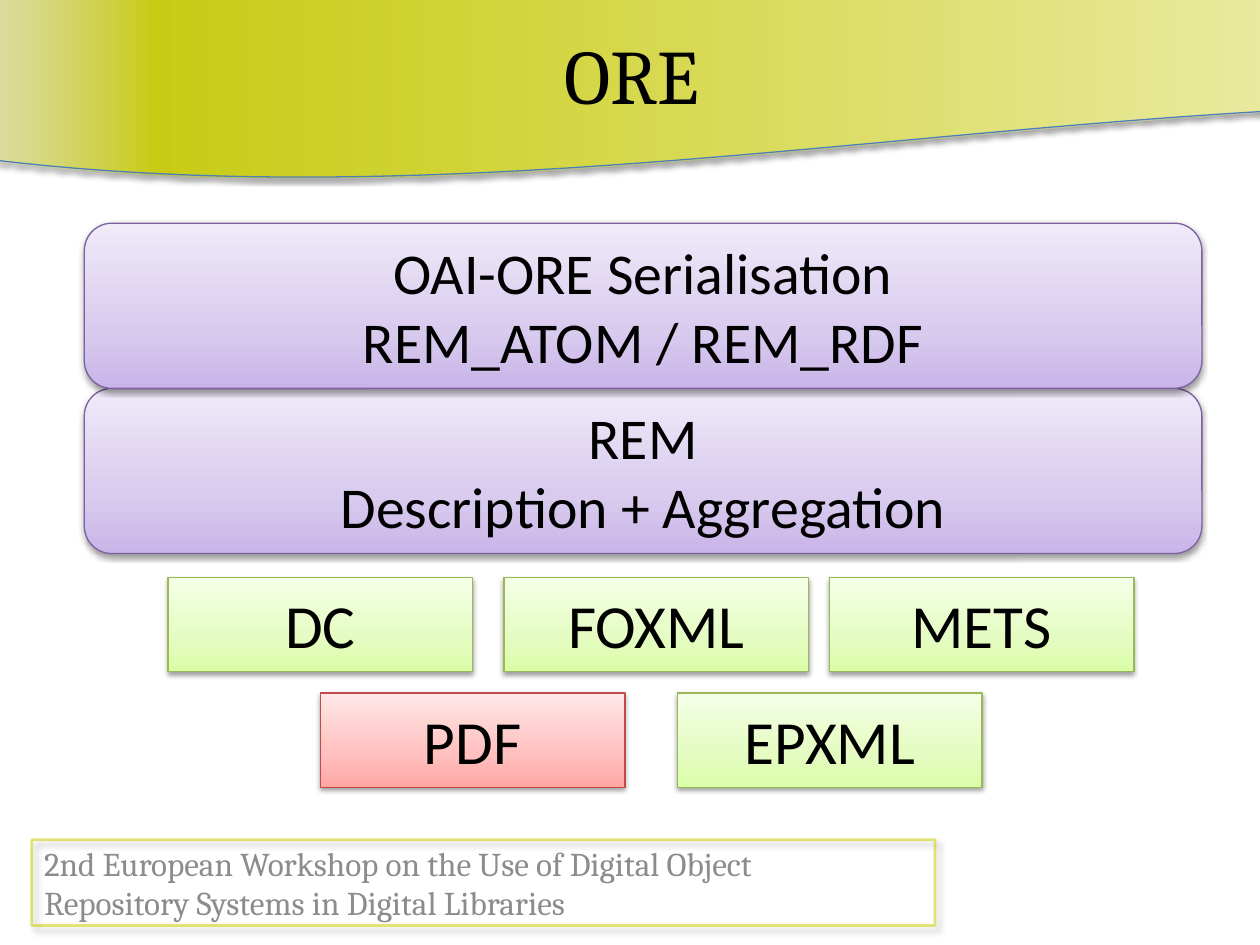
from dataclasses import dataclass

from lxml.etree import SubElement
from pptx import Presentation
from pptx.dml.color import RGBColor
from pptx.enum.shapes import MSO_SHAPE
from pptx.enum.text import MSO_ANCHOR, PP_ALIGN
from pptx.oxml.ns import qn
from pptx.util import Cm, Pt


@dataclass(frozen=True)
class Theme:
    """Colours as (gradient stops, outline) pairs, fonts and type sizes."""
    wave: tuple = (((0, "FFFFFF", 100), (86, "CDCF01", 88), (100, "FFFFFF", 40)), "4B7EBC")
    lilac: tuple = (((0, "C9B5E8", 100), (35, "D8CBEE", 100), (100, "F0EAF9", 100)), "7D60A0")
    green: tuple = (((0, "DAFDA7", 100), (35, "E4FCC2", 100), (100, "F5FFE7", 100)), "98B955")
    red: tuple = (((0, "FFA6A5", 100), (35, "FFC0BF", 100), (100, "FFE7E7", 100)), "BF4C48")
    frame: tuple = ((), "CDCF01")
    ink: str = "000000"
    grey: str = "8C8C8C"
    sans: str = "Calibri"
    serif: str = "Cambria"
    head: int = 44
    tile: int = 35
    layer: int = 33
    foot: int = 19


THEME = Theme()


def apply(obj, values):
    """Set each attribute named in a dict."""
    for name, value in values.items():
        setattr(obj, name, value)


def tint(parent, color, alpha):
    """Add a colour with its opacity in percent."""
    node = SubElement(parent, qn("a:srgbClr"), val=color)
    SubElement(node, qn("a:alpha"), val=str(alpha * 1000))


def blend(shape, stops, angle):
    """Fill a shape with a linear gradient."""
    shape.fill.gradient()
    grad = shape._element.spPr.find(qn("a:gradFill"))
    for child in list(grad):
        grad.remove(child)
    grad.set("rotWithShape", "1")
    table = SubElement(grad, qn("a:gsLst"))
    for place, color, alpha in stops:
        tint(SubElement(table, qn("a:gs"), pos=str(place * 1000)), color, alpha)
    SubElement(grad, qn("a:lin"), ang=str(angle * 60000), scaled="0")


def shade(shape, alpha, blur, dist, angle):
    """Give a shape an outer shadow."""
    shape.shadow.inherit = False
    effects = shape._element.spPr.find(qn("a:effectLst"))
    outer = SubElement(effects, qn("a:outerShdw"), blurRad=str(Pt(blur)),
                       dist=str(Pt(dist)), dir=str(angle * 60000),
                       algn="ctr", rotWithShape="0")
    tint(outer, THEME.ink, alpha)


def block(slide, kind, box, look, angle=270, width=0.75, shadow=(38, 3.1, 1.6, 90)):
    """Draw a preset shape with gradient, outline and shadow."""
    shape = slide.shapes.add_shape(kind, *map(Cm, box))
    stops, edge = look
    if stops:
        blend(shape, stops, angle)
    else:
        shape.fill.background()
    shape.line.color.rgb = RGBColor.from_string(edge)
    shape.line.width = Pt(width)
    shade(shape, *shadow)
    return shape


def write(shape, lines, size, face=THEME.sans, color=THEME.ink, align=PP_ALIGN.CENTER):
    """Write centred or aligned lines in a shape."""
    frame = shape.text_frame
    apply(frame, {"text": "\n".join(lines), "word_wrap": True,
                  "vertical_anchor": MSO_ANCHOR.MIDDLE})
    for para in frame.paragraphs:
        para.alignment = align
        apply(para.font, {"name": face, "size": Pt(size)})
        para.font.color.rgb = RGBColor.from_string(color)


def banner(slide, box):
    """Draw the mirrored wave at the top."""
    wave = block(slide, MSO_SHAPE.WAVE, box, THEME.wave, 0, shadow=(35, 3.1, 1.8, 90))
    wave._element.spPr.find(qn("a:xfrm")).set("flipH", "1")


def title(slide, box, text):
    """Write the slide title."""
    write(slide.shapes.add_textbox(*map(Cm, box)), [text], THEME.head, THEME.serif)


def footer(slide, box, text):
    """Draw the footer frame and its narrower text."""
    left, top, width, height = box
    rim = block(slide, MSO_SHAPE.RECTANGLE, box, THEME.frame,
                width=1.5, shadow=(43, 4, 3, 45))
    line = rim._element.spPr.find(qn("a:ln"))
    SubElement(line.find(f".//{qn('a:srgbClr')}"), qn("a:alpha"), val="53000")
    note = slide.shapes.add_textbox(*map(Cm, (left, top, width - 2.13, height)))
    write(note, [text], THEME.foot, THEME.serif, THEME.grey, PP_ALIGN.LEFT)


def stack(slide, box, layers):
    """Pile equal layers, the upper ones in front."""
    left, top, width, height = box
    step = height / len(layers)
    for row, lines in reversed(list(enumerate(layers))):
        area = (left, top + row * step, width, step)
        write(block(slide, MSO_SHAPE.ROUNDED_RECTANGLE, area, THEME.lilac),
              lines, THEME.layer)


def tiles(slide, box, rows):
    """Place rows of equal tiles by their offset from the left."""
    left, top, width, height = box
    for row, items in enumerate(rows):
        for shift, label, look in items:
            area = (left + shift, top + row * 2.33, width, height)
            write(block(slide, MSO_SHAPE.RECTANGLE, area, look), [label], THEME.tile)


def main():
    """Build and save the slide."""
    deck = Presentation()
    apply(deck, {"slide_width": Cm(25.4), "slide_height": Cm(19.05)})
    slide = deck.slides.add_slide(deck.slide_layouts[6])
    footer(slide, (0.64, 16.93, 18.21, 1.73),
           "2nd European Workshop on the Use of Digital Object "
           "Repository Systems in Digital Libraries")
    banner(slide, (-2.75, -2.54, 41.91, 6.14))
    title(slide, (0.64, 0.21, 24.2, 2.54), "ORE")
    stack(slide, (1.7, 4.5, 22.53, 6.66), [
        ("OAI-ORE Serialisation", "REM_ATOM / REM_RDF"),
        ("REM", "Description + Aggregation"),
    ])
    tiles(slide, (3.39, 11.64, 6.14, 1.9), [
        [(0, "DC", THEME.green), (6.77, "FOXML", THEME.green), (13.33, "METS", THEME.green)],
        [(3.07, "PDF", THEME.red), (10.27, "EPXML", THEME.green)],
    ])
    deck.save("out.pptx")


if __name__ == "__main__":
    main()
